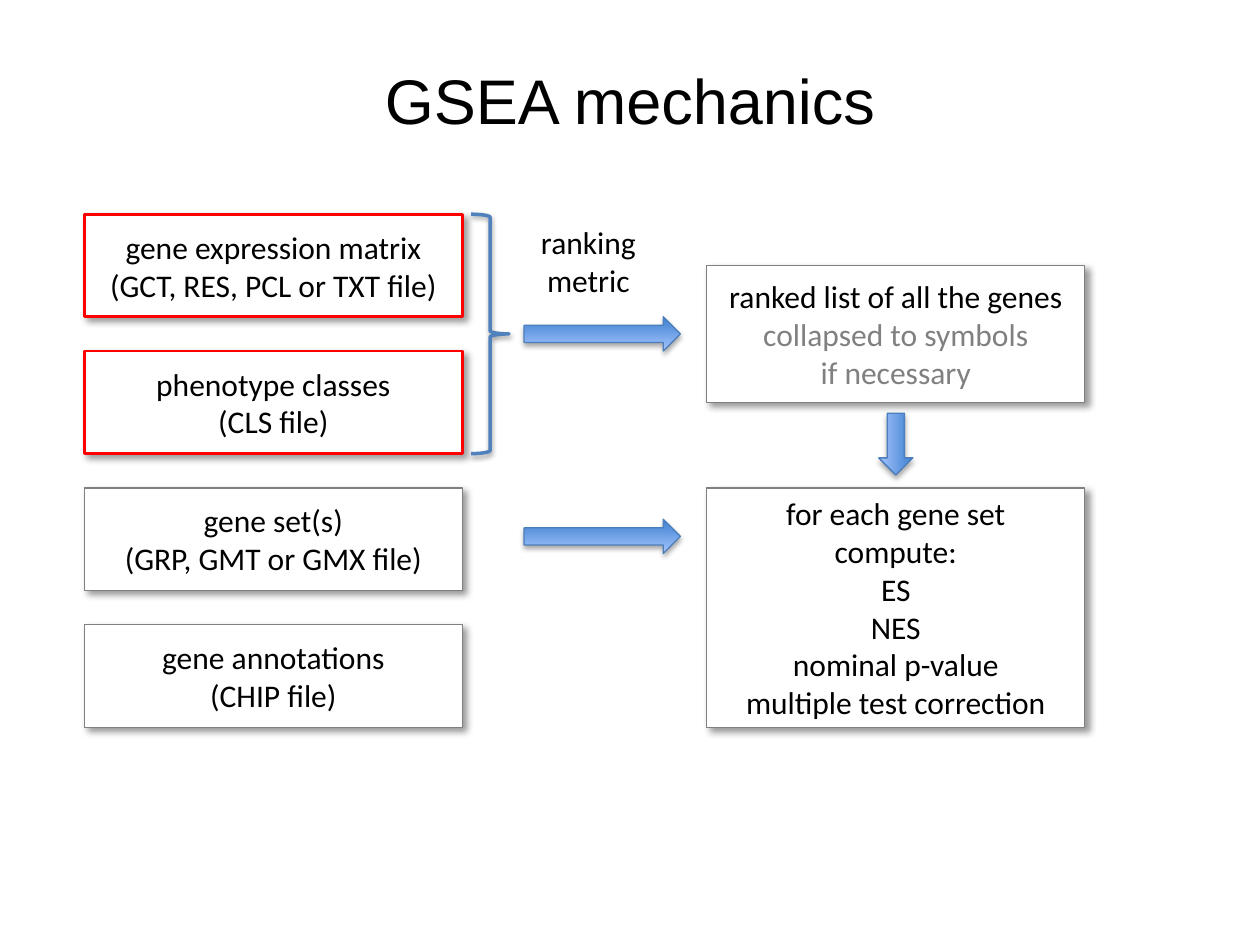
from lxml.etree import SubElement
from pptx import Presentation
from pptx.dml.color import RGBColor
from pptx.enum.shapes import MSO_SHAPE as SHAPE
from pptx.enum.text import MSO_ANCHOR as ANCHOR, PP_ALIGN as ALIGN
from pptx.oxml.ns import qn
from pptx.util import Inches, Pt

BLACK = RGBColor(0, 0, 0)
WHITE = RGBColor(255, 255, 255)
RED = RGBColor(255, 0, 0)
GRAY = RGBColor(0x80, 0x80, 0x80)
BRACE_BLUE = RGBColor(0x4F, 0x81, 0xBD)
ARROW_LINE = RGBColor(0x4B, 0x7E, 0xBC)
ARROW_DARK = RGBColor(0x3F, 0x80, 0xCE)
ARROW_LIGHT = RGBColor(0xA4, 0xC4, 0xFF)

# Grid of the flow chart, in inches
LEFT, TOP = 0.67, 1.7
COL, ROW = 0.25, 0.2715
RIGHT_COL, ARROW_COL = 19.76, 13.96


def grid(col, row, cols, rows):
    return [Inches(v) for v in (LEFT + col * COL, TOP + row * ROW, cols * COL, rows * ROW)]


def add_shadow(sp, alpha, blur, dist, angle):
    sp.shadow.inherit = False
    effects = sp._element.spPr.find(qn("a:effectLst"))
    shadow = SubElement(effects, qn("a:outerShdw"), blurRad=str(Pt(blur)), dist=str(Pt(dist)),
                        dir=str(angle * 60000), algn="tl", rotWithShape="0")
    color = SubElement(shadow, qn("a:srgbClr"), val=str(BLACK))
    SubElement(color, qn("a:alpha"), val=str(alpha * 1000))


def add_lines(tf, lines, size=18, font="Calibri"):
    tf.word_wrap = True
    for i, (text, color) in enumerate(lines):
        p = tf.paragraphs[0] if i == 0 else tf.add_paragraph()
        p.alignment = ALIGN.CENTER
        r = p.add_run()
        r.text = text
        r.font.size, r.font.name = Pt(size), font
        r.font.color.rgb = color


def add_box(s, box, lines, line=GRAY, width=0.75):
    sp = s.shapes.add_shape(SHAPE.RECTANGLE, *grid(*box))
    sp.fill.solid()
    sp.fill.fore_color.rgb = WHITE
    sp.line.color.rgb, sp.line.width = line, Pt(width)
    add_shadow(sp, 40, 4, 3, 45)
    sp.text_frame.vertical_anchor = ANCHOR.MIDDLE
    add_lines(sp.text_frame, lines)


def add_arrow(s, box, rotation=0):
    sp = s.shapes.add_shape(SHAPE.RIGHT_ARROW, *grid(*box))
    sp.rotation = rotation
    sp._element.spPr.xfrm.set("flipV", "1")
    sp.fill.gradient()
    sp.fill.gradient_angle = 90
    for stop, color in zip(sp.fill.gradient_stops, (ARROW_DARK, ARROW_LIGHT)):
        stop.color.rgb = color
    sp.line.color.rgb, sp.line.width = ARROW_LINE, Pt(0.75)
    add_shadow(sp, 35, 3.1, 1.8, 90)


def add_title(s, left, top, width, height):
    title = s.shapes.title
    title.left, title.top, title.width, title.height = map(Inches, (left, top, width, height))
    title.text_frame.vertical_anchor = ANCHOR.MIDDLE
    add_lines(title.text_frame, [("GSEA mechanics", BLACK)], 36, "Arial")


def add_inputs(s, col, row):
    """Stack of input files, the first two required."""
    inputs = [
        (["gene expression matrix (GCT, RES, PCL or TXT file)"], RED, 1.5),
        (["phenotype classes", "(CLS file)"], RED, 1.5),
        (["gene set(s)", "(GRP, GMT or GMX file)"], GRAY, 0.75),
        (["gene annotations", "(CHIP file)"], GRAY, 0.75),
    ]
    for i, (lines, color, width) in enumerate(inputs):
        add_box(s, (col, row + 4 * i, 12, 3), [(t, BLACK) for t in lines], color, width)


def add_ranking(s, col, row):
    """Brace, label and arrow that lead to the ranked list."""
    brace = s.shapes.add_shape(SHAPE.RIGHT_BRACE, *grid(col, row, 1.2, 7))
    brace.fill.background()
    brace.line.color.rgb, brace.line.width = BRACE_BLUE, Pt(2)
    add_shadow(brace, 38, 3.1, 1.6, 90)
    label = s.shapes.add_textbox(*grid(ARROW_COL, row + 0.07, 4.08, 2.6))
    add_lines(label.text_frame, [("ranking metric", BLACK)])
    add_arrow(s, (ARROW_COL, row + 3, 4.96, 1))


def add_results(s, col, row):
    """Ranked list above the computed statistics."""
    add_box(s, (col, row + 1.5, 12, 4), [
        ("ranked list of all the genes", BLACK),
        ("collapsed to symbols", GRAY),
        ("if necessary", GRAY),
    ])
    add_arrow(s, (col + 5.02, row + 6.22, 1.96, 1), rotation=90)
    add_arrow(s, (ARROW_COL, row + 8.92, 4.96, 1))
    stats = ["for each gene set", "compute:", "ES", "NES",
             "nominal p-value", "multiple test correction"]
    add_box(s, (col, row + 8, 12, 7), [(t, BLACK) for t in stats])


def main():
    prs = Presentation()
    prs.slide_width, prs.slide_height = Inches(10), Inches(7.5)
    s = prs.slides.add_slide(prs.slide_layouts[5])
    add_title(s, 0.5, 0.3, 9, 0.97)
    add_inputs(s, 0, 0)
    add_ranking(s, 12.28, 0)
    add_results(s, RIGHT_COL, 0)
    prs.save("out.pptx")


if __name__ == "__main__":
    main()
